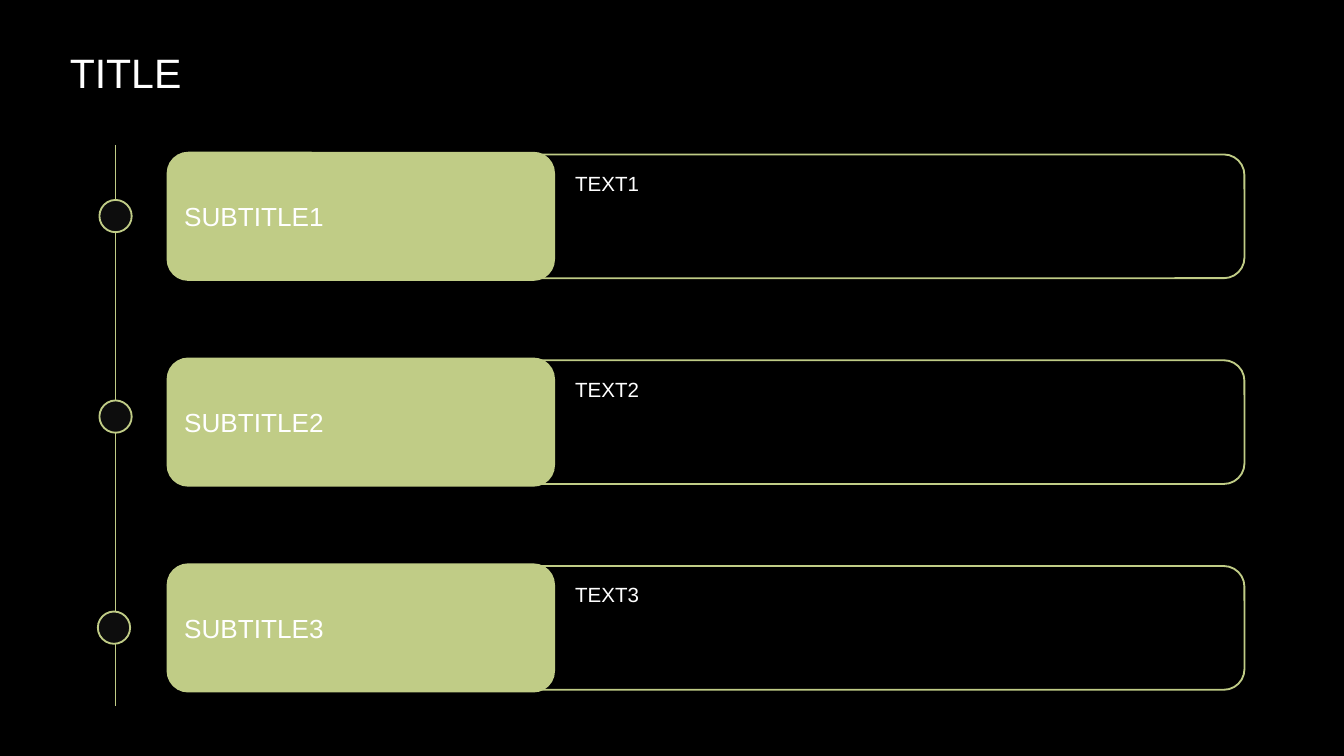
"""Build a dark timeline slide with three subtitle and text rows."""
from pptx import Presentation
from pptx.dml.color import RGBColor
from pptx.enum.shapes import MSO_CONNECTOR, MSO_SHAPE
from pptx.enum.text import MSO_ANCHOR, MSO_AUTO_SIZE, PP_ALIGN
from pptx.oxml.ns import qn
from pptx.util import Cm, Pt
from lxml.etree import SubElement

BLACK = RGBColor(0x00, 0x00, 0x00)
DARK = RGBColor(0x0D, 0x0D, 0x0D)
GREEN = RGBColor(0xC0, 0xCC, 0x86)
WHITE = RGBColor(0xFF, 0xFF, 0xFF)

ROW_PITCH = 3.89
DOT_SIZE = 0.61
DOTS = [(1.88, 3.78), (1.88, 7.57), (1.85, 11.56)]


def set_all(obj, values):
    for name, value in values.items():
        setattr(obj, name, value)


class Deck:
    def __init__(self, prs):
        self.font = {"name": "Arial", "bold": False}
        self.frame = {
            "word_wrap": True,
            "auto_size": MSO_AUTO_SIZE.NONE,
            "margin_left": Cm(0.25),
            "margin_right": Cm(0.25),
            "margin_top": Cm(0.13),
            "margin_bottom": Cm(0.13),
        }
        self.s = prs.slides.add_slide(prs.slide_layouts[5])
        self.s.background.fill.solid()
        self.s.background.fill.fore_color.rgb = BLACK

    def fill_text(self, sp, text, size, anchor):
        tf = sp.text_frame
        set_all(tf, {**self.frame, "vertical_anchor": anchor})
        p = tf.paragraphs[0]
        p.alignment = PP_ALIGN.LEFT
        r = p.add_run()
        r.text = text
        set_all(r.font, {**self.font, "size": Pt(size)})
        r.font.color.rgb = WHITE

    def title(self, text, box):
        sp = self.s.shapes.title
        set_all(sp, dict(zip(("left", "top", "width", "height"), map(Cm, box))))
        self.fill_text(sp, text, 22, MSO_ANCHOR.TOP)

    def text(self, text, box, size, anchor=MSO_ANCHOR.TOP):
        sp = self.s.shapes.add_textbox(*map(Cm, box))
        self.fill_text(sp, text, size, anchor)

    def shape(self, kind, box, fill=None, line=None):
        sp = self.s.shapes.add_shape(kind, *map(Cm, box))
        sp.shadow.inherit = False
        if fill is None:
            sp.fill.background()
        else:
            sp.fill.solid()
            sp.fill.fore_color.rgb = fill
        if line is None:
            sp.line.fill.background()
        else:
            sp.line.color.rgb = line
            sp.line.width = Pt(1)

    def line(self, *ends):
        cx = self.s.shapes.add_connector(MSO_CONNECTOR.STRAIGHT, *map(Cm, ends))
        cx.line.color.rgb = GREEN
        cx.line.width = Pt(0.5)
        SubElement(cx._element.spPr, qn("a:effectLst"))

    def row(self, number, top):
        rounded = MSO_SHAPE.ROUNDED_RECTANGLE
        self.shape(rounded, (9.5, top + 0.05, 14.02, 2.34), line=GREEN)
        self.text(f"TEXT{number}", (10.62, top + 0.23, 12.45, 1.98), 11)
        self.shape(rounded, (3.15, top, 7.34, 2.44), fill=GREEN)
        self.text(f"SUBTITLE{number}", (3.23, top, 7.09, 2.44), 14, MSO_ANCHOR.MIDDLE)


def main():
    prs = Presentation()
    set_all(prs, {"slide_width": Cm(25.4), "slide_height": Cm(14.29)})
    deck = Deck(prs)
    deck.title("TITLE", (1.07, 0.76, 23.52, 1.35))
    deck.line(2.18, 2.74, 2.18, 13.34)
    for i, (left, top) in enumerate(DOTS):
        deck.row(i + 1, 2.87 + i * ROW_PITCH)
        deck.shape(MSO_SHAPE.OVAL, (left, top, DOT_SIZE, DOT_SIZE), DARK, GREEN)
    prs.save("out.pptx")


if __name__ == "__main__":
    main()
